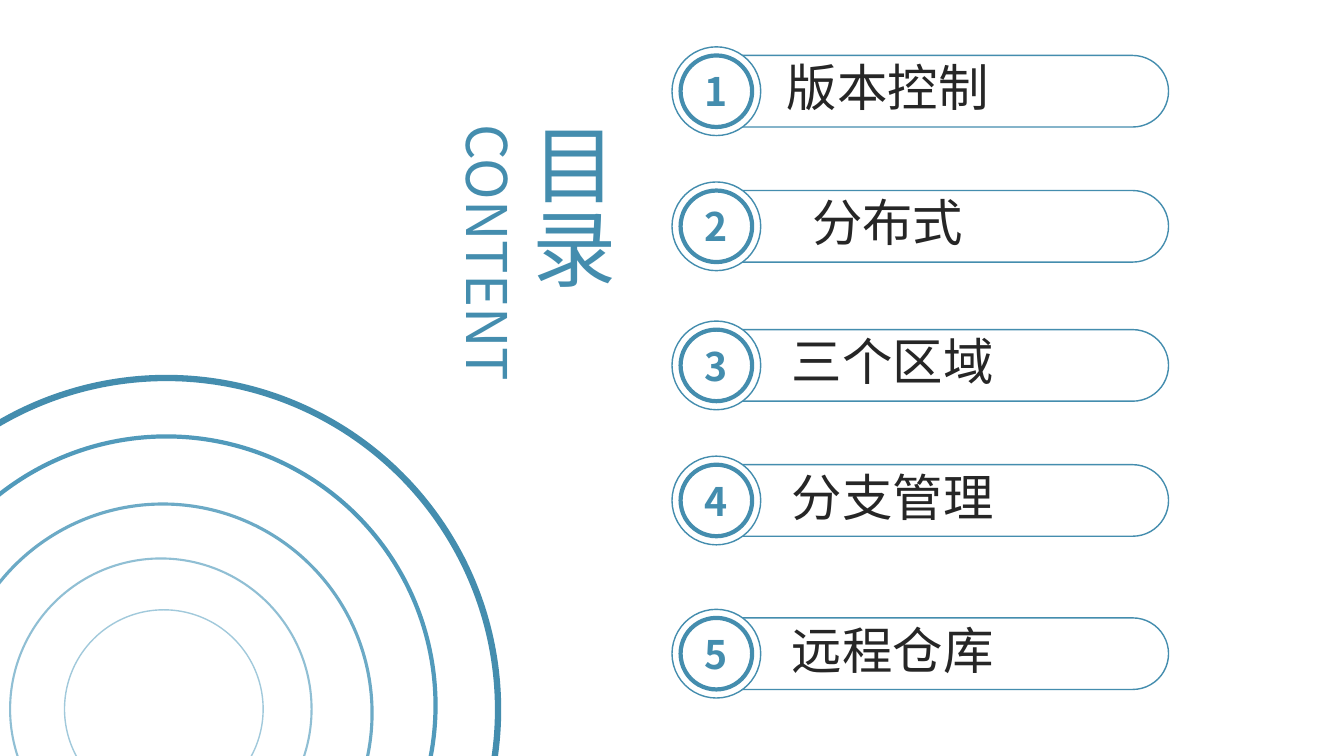
"""Build a contents slide with five numbered pills and a ring ornament."""
from lxml import etree
from pptx import Presentation
from pptx.dml.color import RGBColor
from pptx.enum.shapes import MSO_SHAPE
from pptx.enum.text import MSO_ANCHOR, MSO_AUTO_SIZE, PP_ALIGN
from pptx.oxml.ns import qn
from pptx.util import Inches, Pt

OVAL, PILL = MSO_SHAPE.OVAL, MSO_SHAPE.ROUNDED_RECTANGLE
MID, JUST = PP_ALIGN.CENTER, PP_ALIGN.JUSTIFY
CENTER = MSO_ANCHOR.MIDDLE
GROW = MSO_AUTO_SIZE.SHAPE_TO_FIT_TEXT
FONT = "Noto Sans CJK SC"
WHITE = RGBColor(0xFF, 0xFF, 0xFF)
INK = RGBColor(0x26, 0x26, 0x26)
BLUE = RGBColor(0x44, 0x8D, 0xAE)
SKY = RGBColor(0x51, 0x9A, 0xBB)
MIST = RGBColor(0x6C, 0xAA, 0xC6)
PALE = RGBColor(0x90, 0xBF, 0xD4)
FAINT = RGBColor(0xA1, 0xC9, 0xDB)

deck = Presentation()
deck.slide_width, deck.slide_height = Inches(13.33), Inches(7.5)
slide = deck.slides.add_slide(deck.slide_layouts[6])


def draw(group, kind, *place, line=BLUE, width=1, fill=WHITE):
    shape = group.shapes.add_shape(kind, *map(Inches, place))
    shape.shadow.inherit = False
    if fill is None:
        shape.fill.background()
    else:
        shape.fill.solid()
        shape.fill.fore_color.rgb = fill
    shape.line.color.rgb = line
    shape.line.width = Pt(width)
    return shape


def write(text, place=None, shape=None, size=36, color=INK, bold=False,
          align=MID, turn=False):
    box = shape or slide.shapes.add_textbox(*map(Inches, place))
    frame = box.text_frame
    frame.word_wrap = True
    if shape:
        frame.vertical_anchor = CENTER
    else:
        frame.auto_size = GROW
    if turn:
        box.element.txBody.bodyPr.set("vert", "eaVert")
    para = frame.paragraphs[0]
    para.alignment = align
    run = para.add_run()
    run.text = text
    font = run.font
    font.name, font.size, font.bold = FONT, Pt(size), bold
    font.color.rgb = color
    props = run.font.fill and run._r.get_or_add_rPr()
    etree.SubElement(props, qn("a:ea")).set("typeface", FONT)


left, tall, long, rim = 6.75, 0.71, 4.84, 0.88
edge = (rim - tall) / 2
topics = [
    ("版本控制", 0.55, 7.63),
    ("分布式", 1.89, 7.63),
    ("三个区域", 3.27, 7.68),
    ("分支管理", 4.61, 7.68),
    ("远程仓库", 6.13, 7.68),
]
for num, (topic, top, start) in enumerate(topics, 1):
    row = slide.shapes.add_group_shape()
    pill = draw(row, PILL, left, top, long, tall)
    pill.adjustments[0] = 0.5
    draw(row, OVAL, left - edge, top - edge, rim, rim)
    badge = draw(row, OVAL, left, top, tall, tall, width=3)
    write(str(num), shape=badge, size=28, color=BLUE, bold=True)
    write(topic, (start, top - 0.04, 2.35, tall))

write("目录", (5.01, 1.12, 1.21, 2), size=60, color=BLUE, align=JUST, turn=True)
write("CONTENT", (4.35, 1.14, 0.88, 2.86), size=40, color=BLUE, align=JUST,
      turn=True)

rings = [
    (-1.64, 3.75, 6.58, BLUE, 4.5),
    (-1.02, 4.33, 5.34, SKY, 3),
    (-0.46, 5, 4.15, MIST, 2.25),
    (0.1, 5.54, 2.99, PALE, 1.5),
    (0.64, 6.05, 1.97, FAINT, 1),
]
wave = slide.shapes.add_group_shape()
for x, y, span, tint, width in rings:
    draw(wave, OVAL, x, y, span, span, line=tint, width=width, fill=None)

deck.save("out.pptx")
